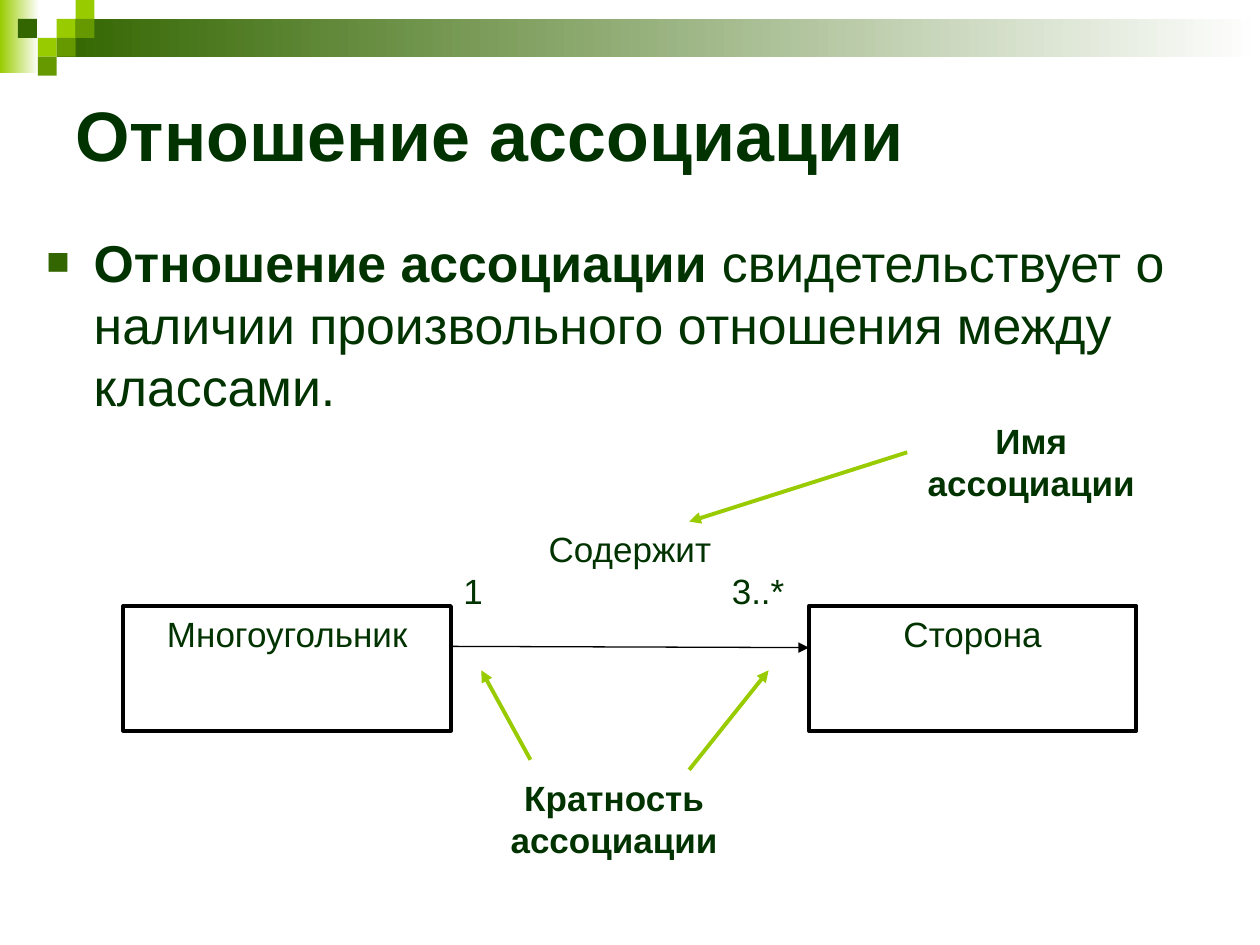
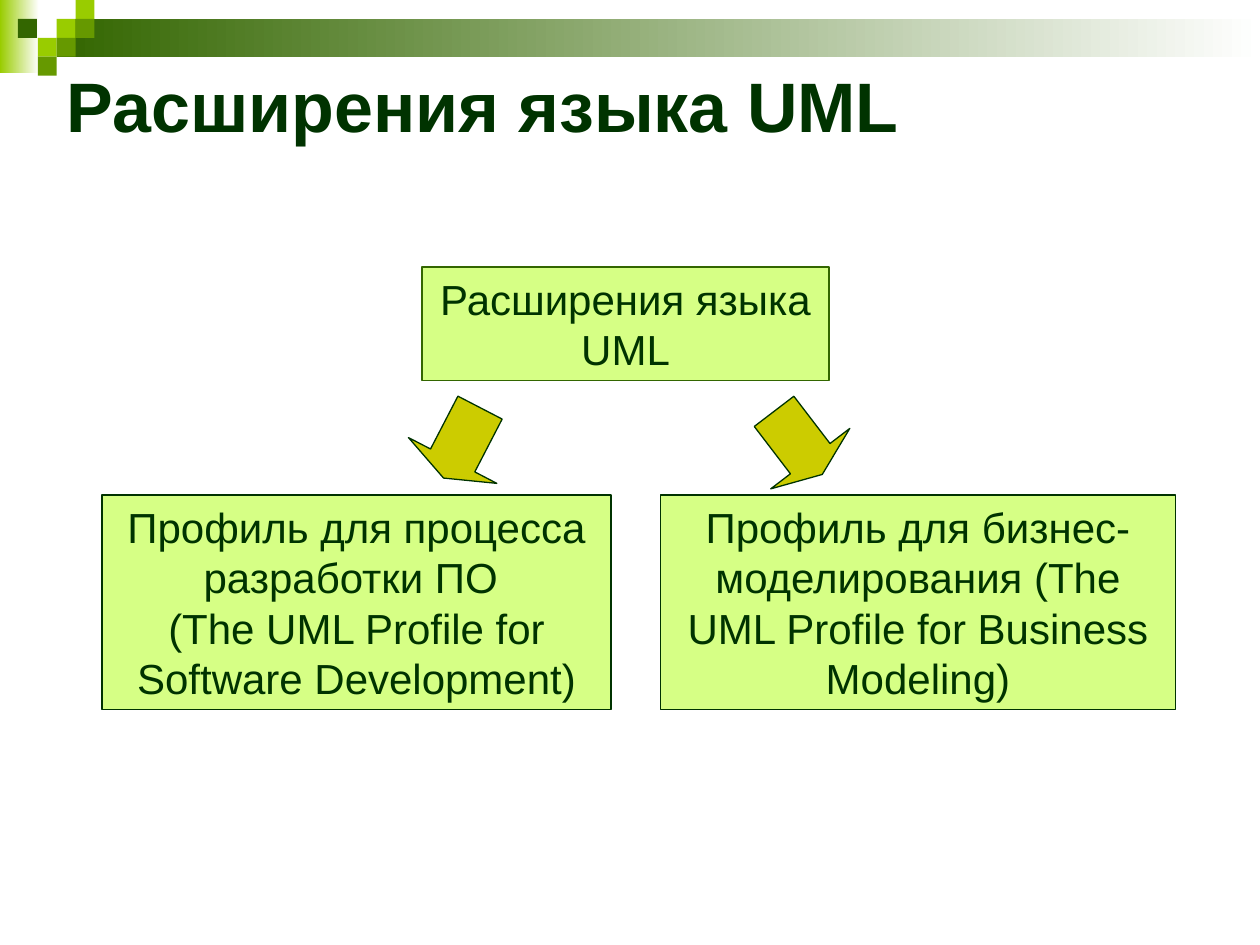
import lxml.etree
import pptx
import pptx.dml.color
import pptx.enum.shapes
import pptx.enum.text
import pptx.oxml.ns
import pptx.util

COLORS = {
    "white": "FFFFFF", "black": "000000", "text": "003300", "dark": "336600",
    "mid": "669900", "lime": "99CC00", "pale": "D6FF85", "olive": "CCCC00",
}
FONT = "Arial"
COLUMNS, ROWS = 100, 75
SQUARE = 1.5
SQUARES = [
    (3, 1, "lime"), (4, 0, "lime"), (4, 1, "mid"), (2, 2, "lime"),
    (0.95, 1, "dark"), (3, 2, "mid"), (2, 3, "mid"),
]
SHAPE = pptx.enum.shapes.MSO_SHAPE
ALIGN = pptx.enum.text.PP_ALIGN
ANCHOR = pptx.enum.text.MSO_ANCHOR
FRAME = {"word_wrap": True, "auto_size": pptx.enum.text.MSO_AUTO_SIZE.NONE}


def rgb(name):
    return pptx.dml.color.RGBColor.from_string(COLORS[name])


def apply(obj, values):
    for name, value in values.items():
        setattr(obj, name, value)


def add_xml(parent, tag, **attrs):
    return lxml.etree.SubElement(parent, pptx.oxml.ns.qn(tag), attrs)


class Deck:
    def __init__(self):
        self.prs = pptx.Presentation()
        self.prs.slide_width = pptx.util.Inches(10)
        self.prs.slide_height = pptx.util.Inches(7.5)
        self.s = None

    def x(self, columns):
        return round(self.prs.slide_width * columns / COLUMNS)

    def y(self, rows):
        return round(self.prs.slide_height * rows / ROWS)

    def place(self, left, top, width, height):
        return self.x(left), self.y(top), self.x(width), self.y(height)

    def slide(self, title, at):
        self.s = self.prs.slides.add_slide(self.prs.slide_layouts[5])
        self.band((0, 0, 3.1, 5.8), "lime")
        self.band((4.5, 1.5, 95.5, 3), "dark")
        for column, row, color in SQUARES:
            self.shape((column * SQUARE, row * SQUARE, SQUARE, SQUARE), color)
        sp = self.s.shapes.title
        apply(sp, dict(zip(("left", "top", "width", "height"), self.place(*at))))
        self.text(sp, [[(title, True)]], 40, anchor=ANCHOR.MIDDLE)

    def text(self, sp, paragraphs, size, align=ALIGN.LEFT, before=0, anchor=ANCHOR.TOP):
        tf = sp.text_frame
        apply(tf, {**FRAME, "vertical_anchor": anchor})
        for i, runs in enumerate(paragraphs):
            p = tf.add_paragraph() if i else tf.paragraphs[0]
            apply(p, {"alignment": align, "space_before": pptx.util.Pt(before)})
            for words, bold in runs:
                r = p.add_run()
                r.text = words
                apply(r.font, {"name": FONT, "size": pptx.util.Pt(size), "bold": bold})
                r.font.color.rgb = rgb("text")

    def shape(self, at, fill, line=None, weight=0.75, kind=SHAPE.RECTANGLE, rotation=0):
        sp = self.s.shapes.add_shape(kind, *self.place(*at))
        sp.shadow.inherit = False
        sp.rotation = rotation
        sp.fill.solid()
        sp.fill.fore_color.rgb = rgb(fill)
        if line:
            sp.line.color.rgb = rgb(line)
            sp.line.width = pptx.util.Pt(weight)
        else:
            sp.line.fill.background()
        return sp

    def band(self, at, color):
        sp = self.shape(at, color)
        sp.fill.gradient()
        sp.fill.gradient_angle = 180
        for stop, name in zip(sp.fill.gradient_stops, ("white", color)):
            stop.color.rgb = rgb(name)

    def box(self, at, texts, size, fill, line, weight=0.75):
        sp = self.shape(at, fill, line, weight)
        self.text(sp, [[(words, False)] for words in texts], size, ALIGN.CENTER)

    def label(self, at, runs, size=20, align=ALIGN.CENTER, before=0):
        sp = self.s.shapes.add_textbox(*self.place(*at))
        self.text(sp, [runs], size, align, before)
        return sp

    def bullet(self, at, runs, size):
        sp = self.label(at, runs, size, ALIGN.LEFT, 8)
        indent = self.x(3.75)
        for pPr in sp.element.iter(pptx.oxml.ns.qn("a:pPr")):
            pPr.set("marL", str(indent))
            pPr.set("indent", str(-indent))
            add_xml(add_xml(pPr, "a:buClr"), "a:srgbClr", val=COLORS["dark"])
            add_xml(pPr, "a:buSzPct", val="75000")
            add_xml(pPr, "a:buFont", typeface=FONT)
            add_xml(pPr, "a:buChar", char="■")

    def arrow(self, start, end, color="lime", weight=2.25):
        c = self.s.shapes.add_connector(
            pptx.enum.shapes.MSO_CONNECTOR.STRAIGHT,
            self.x(start[0]), self.y(start[1]), self.x(end[0]), self.y(end[1]))
        c.line.color.rgb = rgb(color)
        c.line.width = pptx.util.Pt(weight)
        spPr = c.element.spPr
        add_xml(spPr.find(pptx.oxml.ns.qn("a:ln")), "a:tailEnd", type="triangle")
        add_xml(spPr, "a:effectLst")


def association(deck):
    deck.slide("Отношение ассоциации", (5, 5, 90, 11.2))
    deck.bullet((2.7, 17.8, 94.5, 19.9), [
        ("Отношение ассоциации", True),
        (" свидетельствует о наличии произвольного отношения между классами.", False),
    ], 29.6)
    for left, name in ((9.8, "Многоугольник"), (64.2, "Сторона")):
        deck.box((left, 48.1, 26, 9.9), [name], 20, "white", "black", 2.25)
    deck.arrow((35.8, 51.3), (64.2, 51.4), "black", 0.75)
    deck.label((38.2, 41.4, 23.6, 9.9), [("Содержит", False)])
    for left, width, count in ((35.8, 4.7, "1"), (57.1, 8.7, "3..*")):
        deck.label((left, 44.7, width, 6.6), [(count, False)], align=ALIGN.LEFT)
    for left, top, note in ((36.6, 61.1, "Кратность ассоциации"),
                            (69.7, 32.8, "Имя ассоциации")):
        deck.label((left, top, 24.3, 7.7), [(note, True)], before=12.5)
    for start, end in (((54.7, 61.1), (61, 53.2)),
                       ((42.1, 60.3), (38.2, 53.2)),
                       ((72, 35.9), (54.7, 41.4))):
        deck.arrow(start, end)


def extensions(deck):
    deck.slide("Расширения языка UML", (4.3, 2.8, 90, 11))
    deck.box((33.5, 21.2, 32.3, 9), ["Расширения языка UML"], 24, "pale", "dark")
    profiles = [
        (8.1, 40.4, ["Профиль для процесса разработки ПО ",
                     "(The UML Profile for Software Development)"]),
        (52.4, 40.9, ["Профиль для бизнес-моделирования "
                      "(The UML Profile for Business Modeling)"]),
    ]
    for left, width, texts in profiles:
        deck.box((left, 39.3, width, 17), texts, 24, "pale", "text")
    for left, rotation in ((32.7, 27.4), (59.4, 322.6)):
        sp = deck.shape((left, 32, 7.9, 6.3), "olive", "text",
                        kind=SHAPE.DOWN_ARROW, rotation=rotation)
        sp.adjustments[0], sp.adjustments[1] = 0.5, 0.25


def main():
    deck = Deck()
    association(deck)
    extensions(deck)
    deck.prs.save("out.pptx")


if __name__ == "__main__":
    main()
